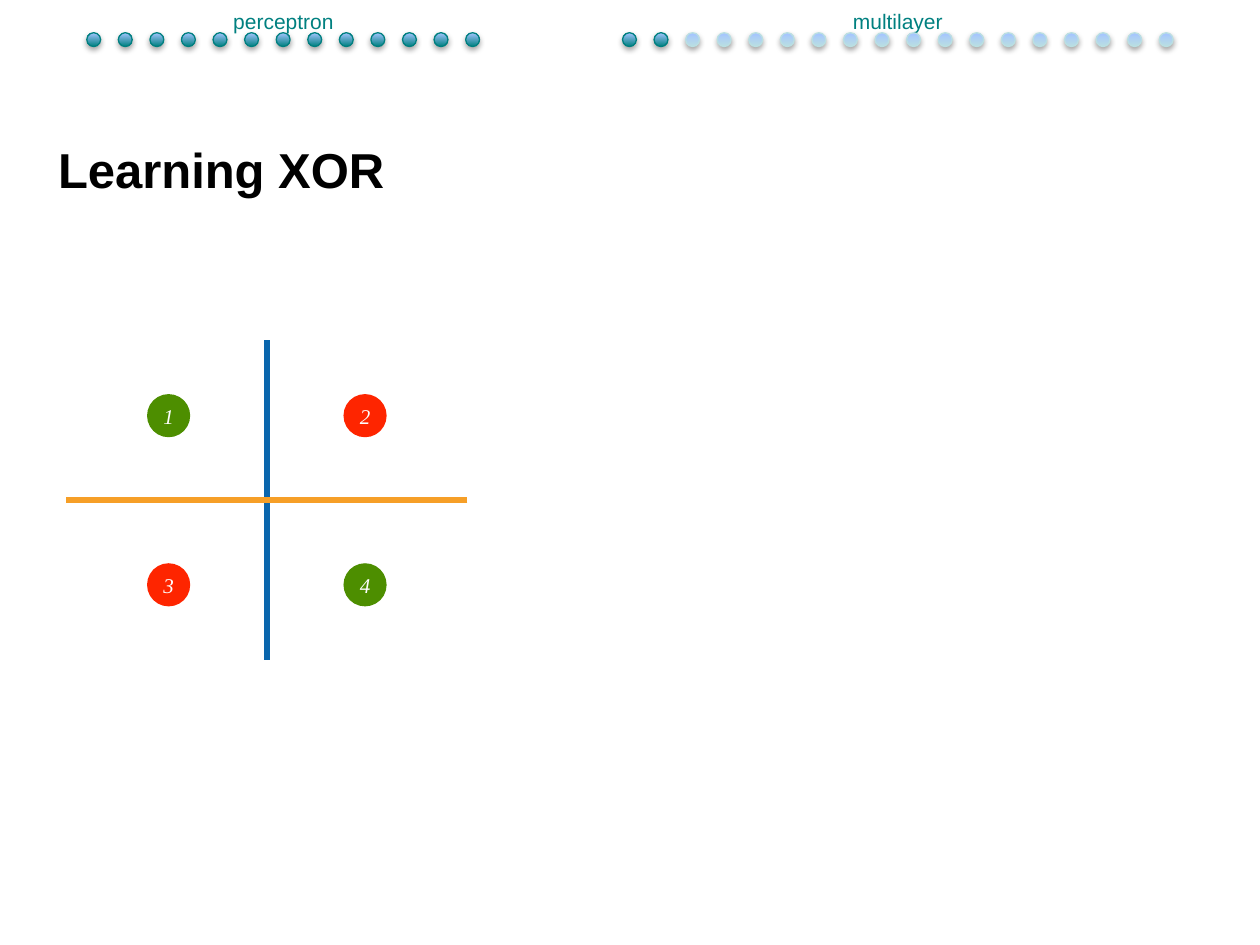
from lxml import etree
from pptx import Presentation, util as u
from pptx.dml import color
from pptx.enum import shapes as es, text as et
from pptx.oxml import ns

TEAL, PALE, SKY = "008080", "BADFE2", "A4C4FF"
GREEN, RED = "4D8E00", "FE2500"


def rgb(code):
    return color.RGBColor.from_string(code)


def write(frame, words, size=12, font="Arial", ink="000000", bold=False,
          slant=False, align=et.PP_ALIGN.LEFT, anchor=et.MSO_ANCHOR.TOP,
          wrap=True):
    frame.margin_left = frame.margin_right = 0
    frame.margin_top = frame.margin_bottom = 0
    frame.auto_size = et.MSO_AUTO_SIZE.NONE
    frame.word_wrap, frame.vertical_anchor = wrap, anchor
    para = frame.paragraphs[0]
    para.alignment = align
    run = para.add_run()
    run.text = words
    face = run.font
    face.name, face.size = font, u.Pt(size)
    face.bold, face.italic = bold, slant
    face.color.rgb = rgb(ink)


def shade(shape):
    """Give the shape a soft shadow that falls straight down."""
    shape.shadow.inherit = False
    glow = shape._element.spPr.find(ns.qn("a:effectLst"))
    drop = etree.SubElement(glow, ns.qn("a:outerShdw"), blurRad="40000",
                            dist="23000", dir="5400000", rotWithShape="0")
    tint = etree.SubElement(drop, ns.qn("a:srgbClr"), val="000000")
    etree.SubElement(tint, ns.qn("a:alpha"), val="35000")


class Deck:
    def __init__(self):
        self.show = Presentation()
        self.show.slide_width, self.show.slide_height = u.Cm(25.4), u.Cm(19.05)
        self.slide = self.show.slides.add_slide(self.show.slide_layouts[5])
        self.items = self.slide.shapes

    def title(self, words, x, y, w, h):
        head = self.items.title
        head.left, head.top, head.width, head.height = map(u.Cm, (x, y, w, h))
        write(head.text_frame, words, size=28, bold=True, wrap=False)

    def label(self, words, x, y, w, h):
        box = self.items.add_textbox(*map(u.Cm, (x, y, w, h)))
        write(box.text_frame, words, ink=TEAL, align=et.PP_ALIGN.CENTER)

    def line(self, x1, y1, x2, y2, ink):
        rule = self.items.add_connector(es.MSO_CONNECTOR.STRAIGHT,
                                        *map(u.Cm, (x1, y1, x2, y2)))
        rule.line.color.rgb = rgb(ink)
        rule.line.width = u.Pt(3)
        etree.SubElement(rule._element.spPr, ns.qn("a:effectLst"))

    def disc(self, x, y, size):
        return self.items.add_shape(es.MSO_SHAPE.OVAL,
                                    *map(u.Cm, (x, y, size, size)))

    def point(self, words, x, y, ink, size=0.87):
        """Draw a numbered point centred on x, y."""
        disc = self.disc(x - size / 2, y - size / 2, size)
        disc.shadow.inherit = False
        disc.fill.solid()
        disc.fill.fore_color.rgb = rgb(ink)
        disc.line.fill.background()
        write(disc.text_frame, words, font="Times New Roman", ink="FEFEFE",
              slant=True, align=et.PP_ALIGN.CENTER,
              anchor=et.MSO_ANCHOR.MIDDLE, wrap=False)

    def dot(self, x, ink):
        dot = self.disc(x, 0.66, 0.28)
        dot.fill.gradient()
        dot.fill.gradient_angle = 90
        for stop, tone in zip(dot.fill.gradient_stops, (ink, SKY)):
            stop.color.rgb = rgb(tone)
        dot.line.color.rgb = rgb(ink)
        dot.line.width = u.Pt(0.75)
        shade(dot)

    def track(self, words, x, w, start, count, done):
        """Draw a section name over its progress dots."""
        step = 10.82 / 17
        self.label(words, x, 0.18, w, 0.51)
        for i in range(count):
            self.dot(start + i * step, TEAL if i < done else PALE)


def main():
    deck = Deck()
    deck.title("Learning XOR", 1.17, 2.82, 6.93, 1.19)
    deck.line(5.38, 13.3, 5.38, 6.86, "0A66AD")
    deck.line(9.42, 10.08, 1.34, 10.08, "F69F27")

    inks = (GREEN, RED, RED, GREEN)
    for i, ink in enumerate(inks):
        row, col = divmod(i, 2)
        deck.point(str(i + 1), 3.4 + 3.96 * col, 8.38 + 3.41 * row, ink)

    deck.track("perceptron", 0, 11.43, 1.75, 13, 13)
    deck.track("multilayer", 10.8, 14.6, 12.55, 18, 2)
    deck.show.save("out.pptx")


if __name__ == "__main__":
    main()
